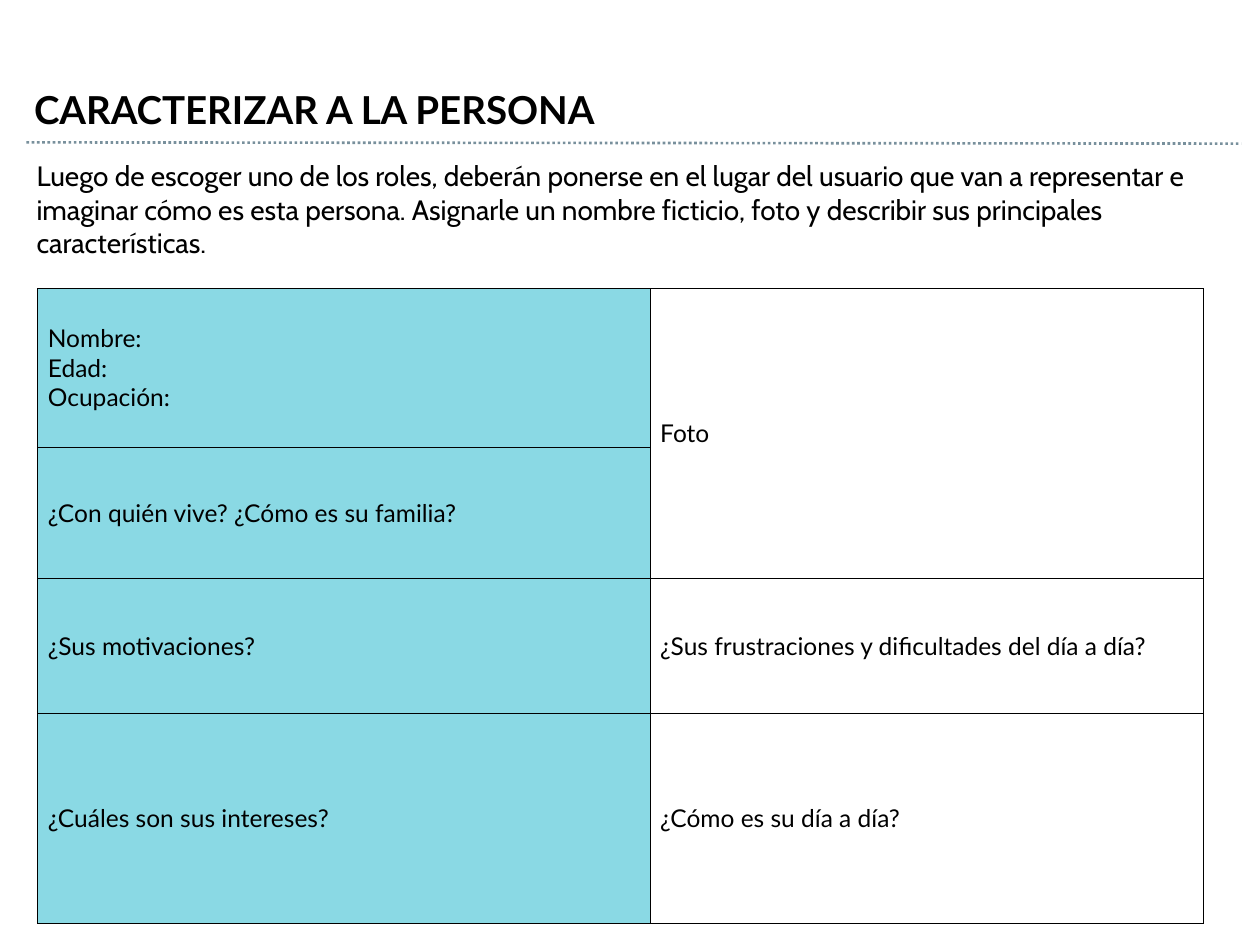
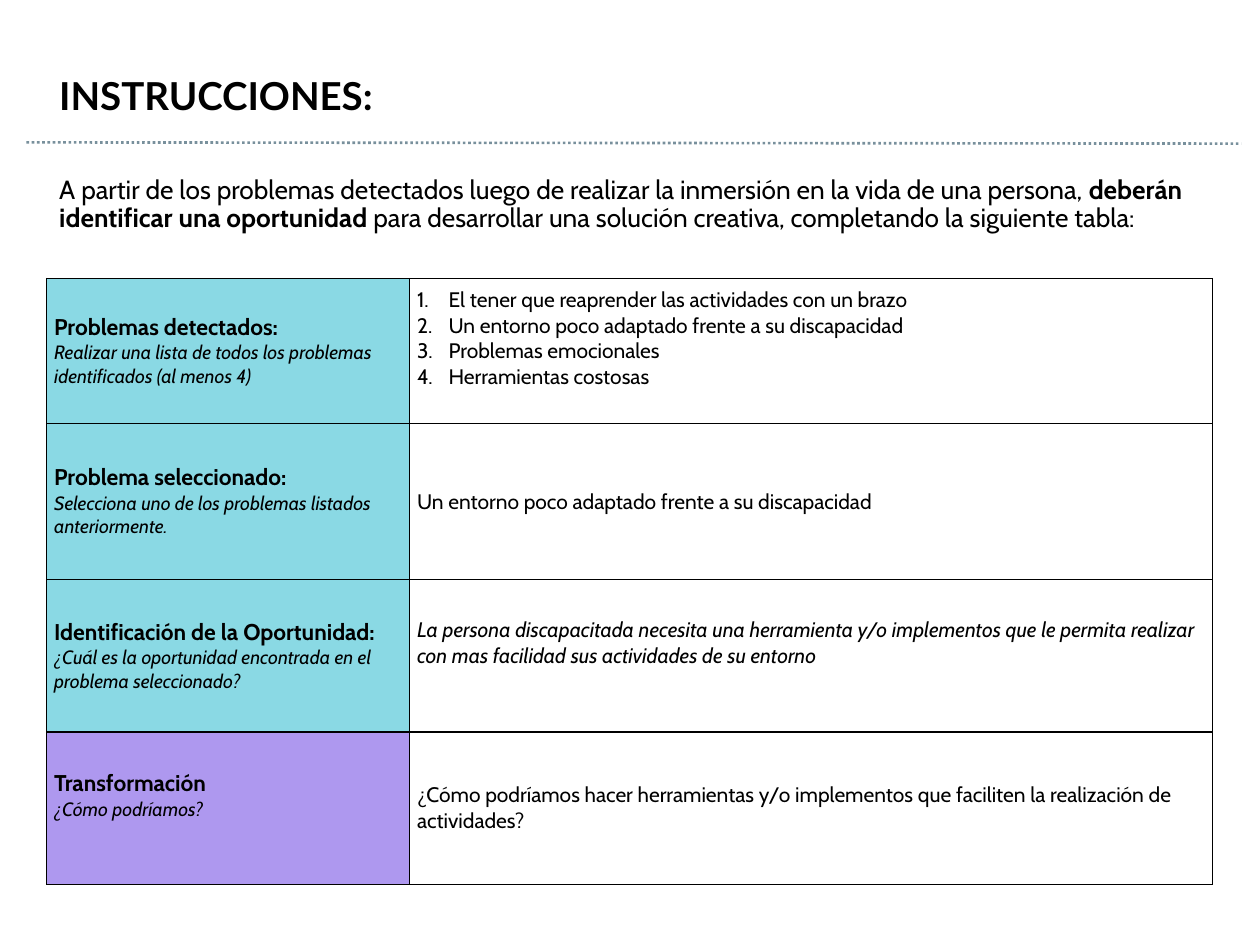
from dataclasses import dataclass

from lxml.etree import SubElement
from pptx import Presentation
from pptx.dml.color import RGBColor
from pptx.enum.dml import MSO_LINE
from pptx.enum.shapes import MSO_CONNECTOR
from pptx.enum.text import MSO_ANCHOR, MSO_AUTO_SIZE, PP_ALIGN
from pptx.oxml.ns import qn
from pptx.util import Inches, Pt

BLACK = RGBColor(0x00, 0x00, 0x00)
WHITE = RGBColor(0xFF, 0xFF, 0xFF)
SLATE = RGBColor(0x78, 0x90, 0x9C)
AQUA = RGBColor(0x8A, 0xD9, 0xE4)
LILAC = RGBColor(0xAE, 0x98, 0xEF)

TITLE_AND_CONTENT = 1
LINE_GAP = 0.2  # lifts a centred cell text by half a line


@dataclass(frozen=True)
class TextStyle:
    font: str
    size: float
    bold: bool = False
    italic: bool = False


HEADING = TextStyle("Lato", 22, bold=True)
PERSONA_CELL = TextStyle("Lato", 14)
LABEL = TextStyle("Cabin", 13, bold=True)
HINT = TextStyle("Cabin", 11, italic=True)
ANSWER = TextStyle("Cabin", 12)
ANSWER_ITALIC = TextStyle("Cabin", 12, italic=True)


class Deck:
    def __init__(self):
        self.presentation = Presentation()
        self.presentation.slide_width = Inches(10)
        self.presentation.slide_height = Inches(7.5)
        self.slide = None

    def add_slide(self, heading, left, top):
        layout = self.presentation.slide_layouts[TITLE_AND_CONTENT]
        self.slide = self.presentation.slides.add_slide(layout)
        self.add_dotted_line()
        title = self.slide.shapes.title
        self.place(title, left, top, 8.16, 0.72, 0.1, 0.1)
        title.text_frame.text = heading
        paragraph = title.text_frame.paragraphs[0]
        paragraph.alignment = PP_ALIGN.JUSTIFY
        paragraph.line_spacing = 1.5
        paragraph.space_after = Pt(16)
        self.format_runs(paragraph, HEADING)

    def add_dotted_line(self):
        line = self.slide.shapes.add_connector(
            MSO_CONNECTOR.STRAIGHT, Inches(0.21), Inches(1.13), Inches(9.85), Inches(1.14))
        line.line.color.rgb = SLATE
        line.line.width = Pt(1.5)
        line.line.dash_style = MSO_LINE.ROUND_DOT
        SubElement(line._element.spPr, qn("a:effectLst"))

    def add_intro(self, box, margins, size, line_spacing, runs):
        """Fill the body placeholder with one paragraph of (text, bold) runs."""
        body = self.slide.placeholders[1]
        self.place(body, *box, *margins)
        paragraph = body.text_frame.paragraphs[0]
        paragraph.line_spacing = line_spacing
        paragraph.space_before = Pt(0)
        properties = paragraph._p.get_or_add_pPr()
        properties.set("marL", "0")
        properties.set("indent", "0")
        SubElement(properties, qn("a:buNone"))
        for text, bold in runs:
            run = paragraph.add_run()
            run.text = text
            self.format_run(run, TextStyle("Cabin", size, bold))

    def add_table(self, left, top, columns, rows):
        shape = self.slide.shapes.add_table(
            len(rows), len(columns), Inches(left), Inches(top),
            Inches(sum(columns)), Inches(sum(rows)))
        table = shape.table
        table.first_row = False
        table.horz_banding = False
        for column, width in zip(table.columns, columns):
            column.width = Inches(width)
        for row, height in zip(table.rows, rows):
            row.height = Inches(height)
        for cell in table.iter_cells():
            self.add_borders(cell)
        return table

    def fill_cell(self, cell, lines, styles, color, margins, lift=0):
        """Write the lines; the last style also serves any lines left over."""
        horizontal, vertical = margins
        cell.margin_left = cell.margin_right = Inches(horizontal)
        cell.margin_top = Inches(vertical)
        cell.margin_bottom = Inches(vertical + lift)
        cell.vertical_anchor = MSO_ANCHOR.MIDDLE
        cell.fill.solid()
        cell.fill.fore_color.rgb = color
        cell.text_frame.text = "\n".join(lines)
        for index, paragraph in enumerate(cell.text_frame.paragraphs):
            self.format_runs(paragraph, styles[min(index, len(styles) - 1)])

    def number_paragraphs(self, text_frame):
        for paragraph in text_frame.paragraphs:
            properties = paragraph._p.get_or_add_pPr()
            properties.set("marL", str(Inches(0.25)))
            properties.set("indent", str(-Inches(0.25)))
            color = SubElement(properties, qn("a:buClr"))
            SubElement(color, qn("a:srgbClr"), val=str(BLACK))
            SubElement(properties, qn("a:buAutoNum"), type="arabicPeriod")

    @staticmethod
    def add_borders(cell):
        properties = cell._tc.get_or_add_tcPr()
        for side in ("lnL", "lnR", "lnT", "lnB"):
            border = SubElement(properties, qn(f"a:{side}"), w=str(Pt(0.75)))
            fill = SubElement(border, qn("a:solidFill"))
            SubElement(fill, qn("a:srgbClr"), val=str(BLACK))

    @staticmethod
    def place(shape, left, top, width, height, horizontal, vertical):
        shape.left, shape.top = Inches(left), Inches(top)
        shape.width, shape.height = Inches(width), Inches(height)
        text_frame = shape.text_frame
        text_frame.word_wrap = True
        text_frame.auto_size = MSO_AUTO_SIZE.NONE
        text_frame.vertical_anchor = MSO_ANCHOR.TOP
        text_frame.margin_left = text_frame.margin_right = Inches(horizontal)
        text_frame.margin_top = text_frame.margin_bottom = Inches(vertical)

    def format_runs(self, paragraph, style):
        for run in paragraph.runs:
            self.format_run(run, style)

    @staticmethod
    def format_run(run, style):
        run.font.name = style.font
        run.font.size = Pt(style.size)
        run.font.bold = style.bold
        run.font.italic = style.italic
        run.font.color.rgb = BLACK


def build_persona_slide(deck):
    deck.add_slide("CARACTERIZAR A LA PERSONA", 0.17, 0.4)
    deck.add_intro((0.22, 1.22, 9.48, 0.88), (0.07, 0.04), 16, 1.0, [
        ("Luego de escoger uno de los roles, deberán ponerse en el lugar del usuario que van a "
         "representar e imaginar cómo es esta persona. Asignarle un nombre ficticio, foto y "
         "describir sus principales características.", False)])
    table = deck.add_table(0.3, 2.29, [4.86, 4.39], [1.26, 1.04, 1.07, 1.67])
    table.cell(0, 1).merge(table.cell(1, 1))
    persona_rows = [
        (["Nombre:", "Edad:", "Ocupación:"], ["Foto"]),
        (["¿Con quién vive? ¿Cómo es su familia?"], []),
        (["¿Sus motivaciones?"], ["¿Sus frustraciones y dificultades del día a día?"]),
        (["¿Cuáles son sus intereses?"], ["¿Cómo es su día a día?"]),
    ]
    for row, cells in enumerate(persona_rows):
        for column, (lines, color) in enumerate(zip(cells, (AQUA, WHITE))):
            deck.fill_cell(table.cell(row, column), lines, [PERSONA_CELL], color, (0.08, 0))


def build_instructions_slide(deck):
    deck.add_slide("INSTRUCCIONES:", 0.37, 0.29)
    deck.add_intro((0.37, 1.35, 9.25, 1.62), (0.1, 0.05), 15, 0.9, [
        ("A partir de los problemas detectados luego de realizar la inmersión en la vida de "
         "una persona, ", False),
        ("deberán identificar una oportunidad ", True),
        ("para desarrollar una solución creativa, completando la siguiente tabla:", False)])
    table = deck.add_table(0.37, 2.21, [2.88, 6.37], [1.15, 1.24, 1.21, 1.21])
    # label, hint, label colour, label lift, answer lines, answer style, answer lift
    steps = [
        ("Problemas detectados:",
         "Realizar una lista de todos los problemas identificados (al menos 4)", AQUA, 0,
         ["El tener que reaprender las actividades con un brazo",
          "Un entorno poco adaptado frente a su discapacidad",
          "Problemas emocionales", "Herramientas costosas"], ANSWER, LINE_GAP),
        ("Problema seleccionado:",
         "Selecciona uno de los problemas listados anteriormente.", AQUA, 0,
         ["Un entorno poco adaptado frente a su discapacidad"], ANSWER, 0),
        ("Identificación de la Oportunidad:",
         "¿Cuál es la oportunidad encontrada en el problema seleccionado?", AQUA, 0,
         ["La persona discapacitada necesita una herramienta y/o implementos que le permita "
          "realizar con mas facilidad sus actividades de su entorno"], ANSWER_ITALIC, LINE_GAP),
        ("Transformación", "¿Cómo podríamos?", LILAC, LINE_GAP,
         ["¿Cómo podríamos hacer herramientas y/o implementos que faciliten la realización "
          "de actividades?"], ANSWER, 0),
    ]
    margins = (0.06, 0.04)
    for row, (label, hint, color, label_lift, answer, style, answer_lift) in enumerate(steps):
        deck.fill_cell(table.cell(row, 0), [label, hint], [LABEL, HINT], color, margins, label_lift)
        deck.fill_cell(table.cell(row, 1), answer, [style], WHITE, margins, answer_lift)
    deck.number_paragraphs(table.cell(0, 1).text_frame)


def main():
    deck = Deck()
    build_persona_slide(deck)
    build_instructions_slide(deck)
    deck.presentation.save("out.pptx")


if __name__ == "__main__":
    main()
